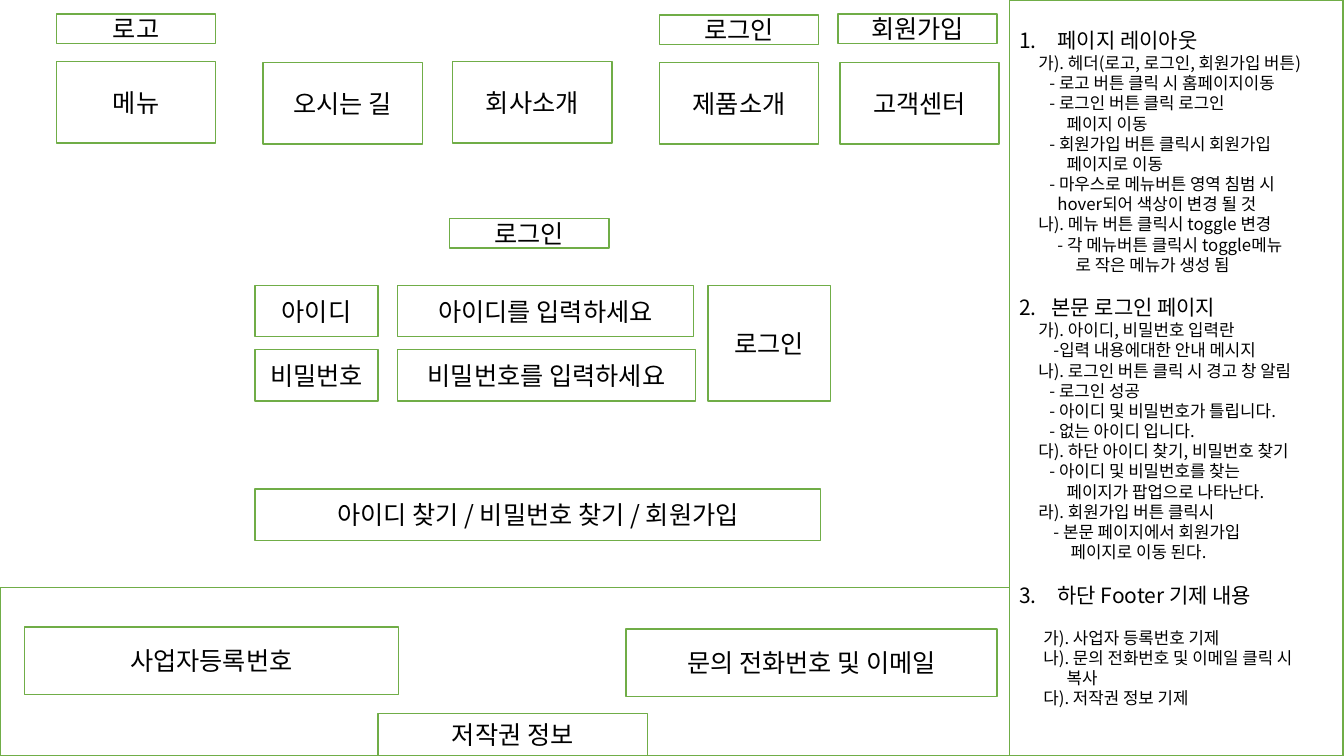
import pptx
import pptx.dml.color
import pptx.enum.shapes
import pptx.enum.text
import pptx.oxml.ns
import pptx.util
from lxml import etree

FONT = "Noto Sans CJK KR"
MIDDLE = pptx.enum.text.MSO_ANCHOR.MIDDLE
LEFT = pptx.enum.text.PP_ALIGN.LEFT
CENTER = pptx.enum.text.PP_ALIGN.CENTER

deck = pptx.Presentation()
deck.slide_width = pptx.util.Inches(13.33)
deck.slide_height = pptx.util.Inches(7.5)
page = deck.slides.add_slide(deck.slide_layouts[6])

# Grid of 1333 columns by 750 rows
column = deck.slide_width / 1333
row = deck.slide_height / 750


def add_box(left, top, width, height, label=""):
    box = page.shapes.add_shape(
        pptx.enum.shapes.MSO_SHAPE.RECTANGLE,
        round(left * column), round(top * row),
        round(width * column), round(height * row))
    box.shadow.inherit = False
    box.fill.solid()
    box.fill.fore_color.rgb = pptx.dml.color.RGBColor.from_string("FFFFFF")
    box.line.color.rgb = pptx.dml.color.RGBColor.from_string("70AD47")
    box.line.width = pptx.util.Pt(1)
    box.text_frame.word_wrap = True
    box.text_frame.vertical_anchor = MIDDLE
    if label:
        box.text_frame.text = label
        style(box.text_frame.paragraphs[0], 18, CENTER)
    return box


def style(para, size, align):
    para.alignment = align
    for span in para.runs:
        span.font.size = pptx.util.Pt(size)
        span.font.name = FONT
        span.font.color.rgb = pptx.dml.color.RGBColor.from_string("000000")
        east_asian = etree.SubElement(span.font._element, pptx.oxml.ns.qn("a:ea"))
        east_asian.set("typeface", FONT)


# Header: small buttons and the menu bar
for left, top, label in [(56, 14, "로고"), (654, 15, "로그인"), (831, 14, "회원가입")]:
    add_box(left, top, 158, 29, label)
for left, top, label in [(56, 61, "메뉴"), (261, 62, "오시는 길"), (449, 61, "회사소개"),
                         (654, 62, "제품소개"), (833, 62, "고객센터")]:
    add_box(left, top, 158, 81, label)

# Login form
add_box(446, 217, 158, 29, "로그인")
for index, (label, hint, width) in enumerate([
        ("아이디", "아이디를 입력하세요", 294),
        ("비밀번호", "비밀번호를 입력하세요", 296)]):
    top = 283 + index * 64
    add_box(253, top, 122, 51, label)
    add_box(394, top, width, 51, hint)
add_box(702, 283, 122, 115, "로그인")
add_box(253, 485, 561, 51, "아이디 찾기 / 비밀번호 찾기 / 회원가입")

# Footer
add_box(0, 583, 1001, 167)
add_box(24, 622, 371, 67, "사업자등록번호")
add_box(621, 624, 368, 67, "문의 전화번호 및 이메일")
add_box(375, 708, 267, 42, "저작권 정보")

# Description panel: heading, its hanging indent, gap below, (indent, line) pairs
sections = [
    ("페이지 레이아웃", 38, 0, [
        (19, "가). 헤더(로고, 로그인, 회원가입 버튼)"),
        (30, "- 로고 버튼 클릭 시 홈페이지이동"),
        (30, "- 로그인 버튼 클릭 로그인"),
        (47, "페이지 이동"),
        (30, "- 회원가입 버튼 클릭시 회원가입"),
        (47, "페이지로 이동"),
        (30, "- 마우스로 메뉴버튼 영역 침범 시"),
        (38, "hover되어 색상이 변경 될 것"),
        (19, "나). 메뉴 버튼 클릭시 toggle 변경"),
        (38, "- 각 메뉴버튼 클릭시 toggle메뉴"),
        (56, "로 작은 메뉴가 생성 됨")]),
    ("본문 로그인 페이지", 32, 0, [
        (19, "가). 아이디, 비밀번호 입력란"),
        (34, "-입력 내용에대한 안내 메시지"),
        (19, "나). 로그인 버튼 클릭 시 경고 창 알림"),
        (30, "- 로그인 성공"),
        (30, "- 아이디 및 비밀번호가 틀립니다."),
        (30, "- 없는 아이디 입니다."),
        (19, "다). 하단 아이디 찾기, 비밀번호 찾기"),
        (30, "- 아이디 및 비밀번호를 찾는"),
        (47, "페이지가 팝업으로 나타난다."),
        (19, "라). 회원가입 버튼 클릭시"),
        (34, "- 본문 페이지에서 회원가입"),
        (51, "페이지로 이동 된다.")]),
    ("하단 Footer 기제 내용", 38, 14.4, [
        (24, "가). 사업자 등록번호 기제"),
        (24, "나). 문의 전화번호 및 이메일 클릭 시"),
        (47, "복사"),
        (24, "다). 저작권 정보 기제")]),
]
frame = add_box(1001, 0, 331, 750).text_frame
frame.margin_bottom = pptx.util.Pt(18)

for number, (heading, hang, gap, lines) in enumerate(sections, start=1):
    para = frame.paragraphs[0] if number == 1 else frame.add_paragraph()
    para.text = heading
    style(para, 15, LEFT)
    para.line_spacing = pptx.util.Pt(18)
    para.space_before = pptx.util.Pt(0 if number == 1 else 14.4)
    para.space_after = pptx.util.Pt(gap)
    properties = para._p.get_or_add_pPr()
    properties.set("marL", str(round(hang * column)))
    properties.set("indent", str(-round(hang * column)))
    bullet = etree.SubElement(properties, pptx.oxml.ns.qn("a:buAutoNum"))
    bullet.set("type", "arabicPeriod")
    bullet.set("startAt", str(number))

    for indent, line in lines:
        para = frame.add_paragraph()
        para.text = line
        style(para, 12, LEFT)
        para.line_spacing = pptx.util.Pt(14.4)
        properties = para._p.get_or_add_pPr()
        properties.set("marL", "0")
        properties.set("indent", str(round(indent * column)))

deck.save("out.pptx")
